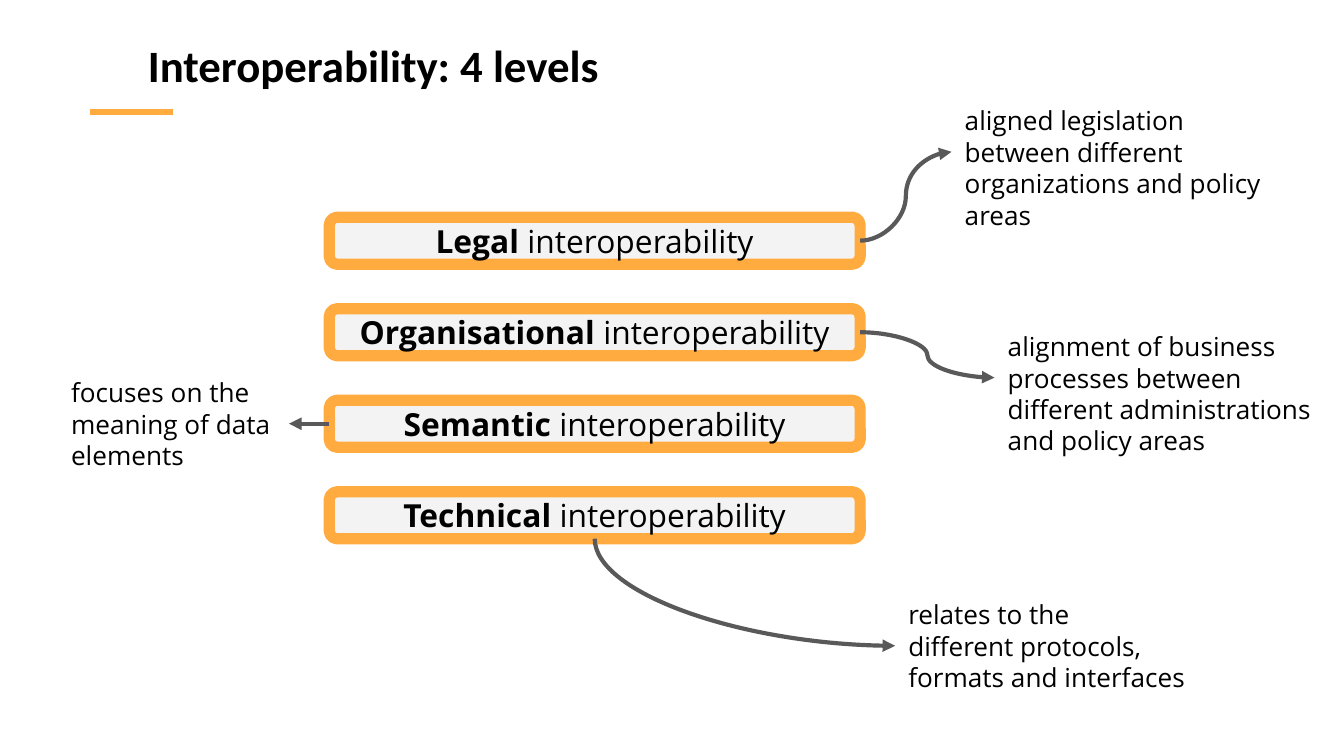
import pptx
import pptx.util
import pptx.dml.color
import pptx.enum.shapes
import pptx.enum.text
import pptx.oxml
import pptx.oxml.ns

COLORS = {"black": "000000", "orange": "FFAB40", "panel": "F3F3F3", "arrow": "595959"}
RGB = {name: pptx.dml.color.RGBColor.from_string(value) for name, value in COLORS.items()}
KINDS = pptx.enum.shapes.MSO_CONNECTOR
TOP, LEFT, BOTTOM, RIGHT = range(4)

# Widescreen slide, 16 to 9
presentation = pptx.Presentation()
presentation.slide_width = pptx.util.Inches(10)
presentation.slide_height = presentation.slide_width * 9 // 16
slide = presentation.slides.add_slide(presentation.slide_layouts[6])

# Grid: 100 columns across, with square cells
cell = presentation.slide_width / 100


def add_text(left, top, width, height, lines, font_name, size, bold=False):
    box = slide.shapes.add_textbox(*(round(cell * n) for n in (left, top, width, height)))
    frame = box.text_frame
    frame.word_wrap = True
    frame.margin_left = frame.margin_right = frame.margin_top = frame.margin_bottom = round(cell)
    frame.text = lines
    for paragraph in frame.paragraphs:
        paragraph.font.name = font_name
        paragraph.font.size = pptx.util.Pt(size)
        paragraph.font.bold = bold
        paragraph.font.color.rgb = RGB["black"]
    return box


def add_line(kind, color, weight, ends=(0, 0, 0, 0)):
    connector = slide.shapes.add_connector(kind, *(round(cell * n) for n in ends))
    connector.line.color.rgb = RGB[color]
    connector.line.width = pptx.util.Pt(weight)
    connector._element.spPr.append(
        pptx.oxml.parse_xml("<a:effectLst %s/>" % pptx.oxml.ns.nsdecls("a")))
    return connector


# Title, indented from its accent line
title = add_text(5.5, 1.8, 77.5, 4.8, "Interoperability: 4 levels", "Calibri", 24, bold=True)
title.text_frame.margin_left = round(cell * 5.5)
add_line(KINDS.STRAIGHT, "orange", 3, (6.7, 8.35, 12.9, 8.35))

# Four levels, evenly stacked
levels = {}
for row, name in enumerate(["Legal", "Organisational", "Semantic", "Technical"]):
    shape = slide.shapes.add_shape(
        pptx.enum.shapes.MSO_SHAPE.ROUNDED_RECTANGLE,
        *(round(cell * n) for n in (24.5, 16.16 + 6.81 * row, 39.5, 3.5)))
    shape.shadow.inherit = False
    shape.fill.solid()
    shape.fill.fore_color.rgb = RGB["panel"]
    shape.line.color.rgb = RGB["orange"]
    shape.line.width = pptx.util.Pt(6)
    frame = shape.text_frame
    frame.margin_left = frame.margin_right = frame.margin_top = frame.margin_bottom = round(cell)
    frame.vertical_anchor = pptx.enum.text.MSO_ANCHOR.MIDDLE
    paragraph = frame.paragraphs[0]
    paragraph.alignment = pptx.enum.text.PP_ALIGN.CENTER
    paragraph.font.name = "Open Sans"
    paragraph.font.size = pptx.util.Pt(17)
    paragraph.font.color.rgb = RGB["black"]
    for text, bold in ((name + " ", True), ("interoperability", False)):
        run = paragraph.add_run()
        run.text = text
        run.font.bold = bold
    levels[name] = shape

# Explanations, each with an arrow from its level:
# level, left, top, width, text, side of the level, side of the note, connector
notes = [
    ("Legal", 70.8, 6.8, 26,
     "aligned legislation between different organizations and policy areas",
     RIGHT, LEFT, KINDS.CURVE),
    ("Organisational", 74, 23.6, 26,
     "alignment of business processes between different administrations and policy areas",
     RIGHT, LEFT, KINDS.CURVE),
    ("Semantic", 4.3, 27.03, 17.2,
     "focuses on the meaning of data elements",
     LEFT, RIGHT, KINDS.STRAIGHT),
    ("Technical", 66.6, 43.56, 24.3,
     "relates to the\ndifferent protocols, formats and interfaces",
     BOTTOM, LEFT, KINDS.CURVE),
]
for name, left, top, width, text, level_side, note_side, kind in notes:
    note = add_text(left, top, width, 9, text, "Open Sans", 14)
    arrow = add_line(kind, "arrow", 2.25)
    head = "tailEnd"
    if level_side == BOTTOM:
        # A quarter curve leaves its start sideways, so it starts at the note
        arrow.begin_connect(note, note_side)
        arrow.end_connect(levels[name], level_side)
        arrow._element.spPr.prstGeom.set("prst", "curvedConnector2")
        head = "headEnd"
    else:
        arrow.begin_connect(levels[name], level_side)
        arrow.end_connect(note, note_side)
    arrow.line._get_or_add_ln().append(pptx.oxml.parse_xml(
        '<a:%s %s type="triangle"/>' % (head, pptx.oxml.ns.nsdecls("a"))))

presentation.save("out.pptx")
